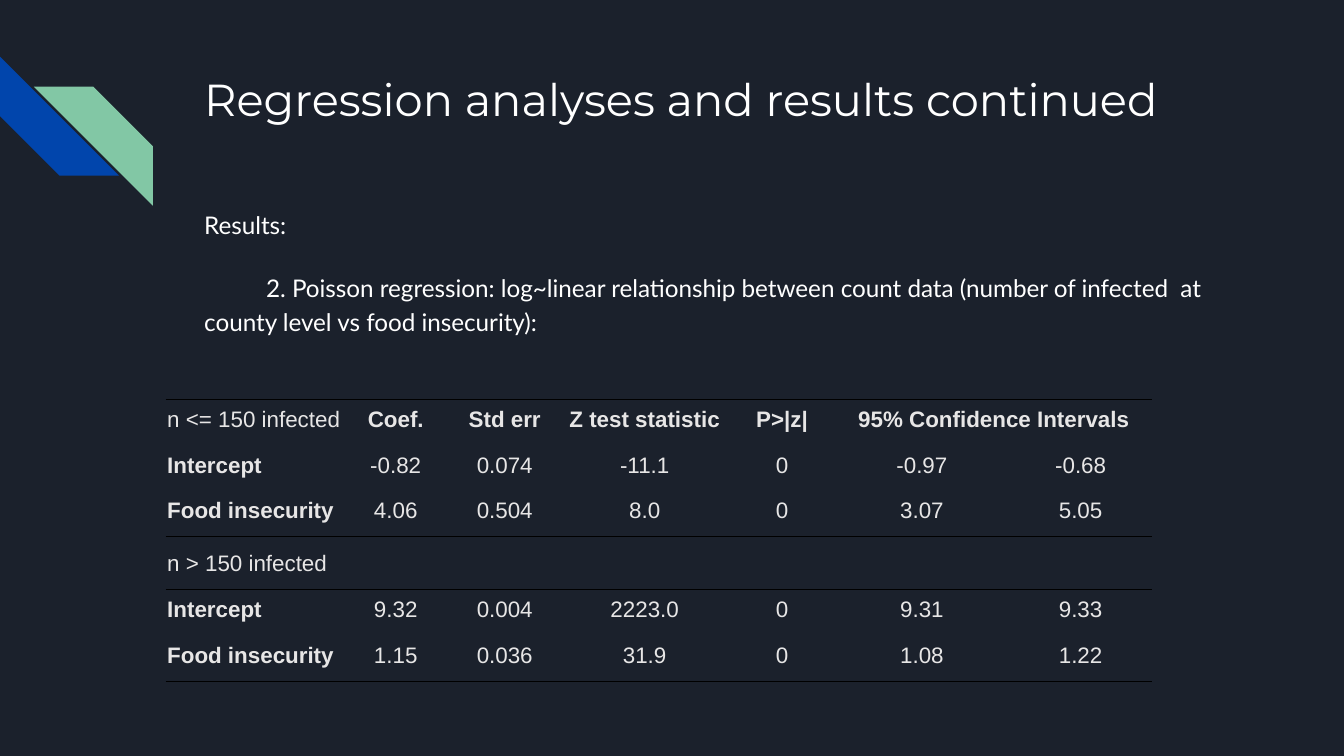
from dataclasses import dataclass

from lxml.etree import SubElement
from pptx import Presentation
from pptx.dml.color import RGBColor
from pptx.enum.shapes import MSO_SHAPE as Shape
from pptx.enum.text import MSO_ANCHOR as Anchor, PP_ALIGN as Align
from pptx.oxml import parse_xml
from pptx.oxml.ns import nsdecls, qn
from pptx.util import Cm, Pt


@dataclass(frozen=True)
class Theme:
    background: str = "1B212C"
    blue: str = "0145AC"
    green: str = "82C7A5"
    text: str = "FFFFFF"
    table_text: str = "E7E6E6"
    rule: str = "000000"
    title_font: str = "Montserrat"
    body_font: str = "Lato"
    table_font: str = "Arial"
    title_size: float = 24
    body_size: float = 13
    table_size: float = 12
    rule_width: float = 0.5
    line_spacing: float = 1.15


THEME = Theme()
NO_STYLE = "{2D5ABB26-0587-4C30-8999-92F81FD0307C}"

COLUMN_WIDTHS = [3.34, 2.01, 2.11, 3.18, 2.01, 3.28, 2.72]
ROW_HEIGHTS = [0.56, 0.56, 0.56, 1.0, 0.56, 0.56]
ROWS = [
    ["n <= 150 infected", "Coef.", "Std err", "Z test statistic", "P>|z|", "95% Confidence Intervals", ""],
    ["Intercept", "-0.82", "0.074", "-11.1", "0", "-0.97", "-0.68"],
    ["Food insecurity", "4.06", "0.504", "8.0", "0", "3.07", "5.05"],
    ["n > 150 infected", "", "", "", "", "", ""],
    ["Intercept", "9.32", "0.004", "2223.0", "0", "9.31", "9.33"],
    ["Food insecurity", "1.15", "0.036", "31.9", "0", "1.08", "1.22"],
]
GROUP_ROWS = (0, 3)
RULES = {0: "T", 2: "B", 3: "T", 5: "B"}


def write(paragraph, text, *, font, size, color, bold=False, align=Align.LEFT,
          spacing=1.0, before=0, indent=0):
    paragraph.alignment = align
    paragraph.line_spacing = spacing
    paragraph.space_before = Pt(before)
    if indent:
        properties = paragraph._p.get_or_add_pPr()
        properties.set("marL", "0")
        properties.set("indent", str(Cm(indent)))
    run = paragraph.add_run()
    run.text = text
    run.font.name = font
    run.font.size = Pt(size)
    run.font.bold = bold
    run.font.color.rgb = RGBColor.from_string(color)


def add_text_frame(slide, left, top, width, height):
    frame = slide.shapes.add_textbox(Cm(left), Cm(top), Cm(width), Cm(height)).text_frame
    frame.word_wrap = True
    frame.vertical_anchor = Anchor.TOP
    frame.margin_left = frame.margin_right = Cm(0.25)
    frame.margin_top = frame.margin_bottom = Cm(0.25)
    return frame


def add_stripe(slide, left, top, size, color):
    shape = slide.shapes.add_shape(Shape.DIAGONAL_STRIPE, Cm(left), Cm(top), Cm(size), Cm(size))
    shape.shadow.inherit = False
    shape.fill.solid()
    shape.fill.fore_color.rgb = RGBColor.from_string(color)
    shape.line.fill.background()
    return shape


def add_ornament(slide, left, top, size):
    add_stripe(slide, left, top, size, THEME.blue).rotation = 270
    green_stripe = add_stripe(slide, left + 0.64, top + 0.57, size, THEME.green)
    green_stripe._element.spPr.find(qn("a:xfrm")).set("flipH", "1")


def add_title(slide, left, top, width, height):
    frame = add_text_frame(slide, left, top, width, height)
    write(frame.paragraphs[0], "Regression analyses and results continued",
          font=THEME.title_font, size=THEME.title_size, color=THEME.text)


def add_body(slide, left, top, width, height):
    frame = add_text_frame(slide, left, top, width, height)
    style = dict(font=THEME.body_font, size=THEME.body_size, color=THEME.text,
                 spacing=THEME.line_spacing)
    write(frame.paragraphs[0], "Results:", **style)
    write(frame.add_paragraph(),
          "2. Poisson regression: log~linear relationship between count data "
          "(number of infected  at county level vs food insecurity):",
          before=16, indent=1.17, **style)


def add_rule(cell, side):
    line = parse_xml(f'<a:ln{side} {nsdecls("a")} w="{Pt(THEME.rule_width)}"/>')
    fill = SubElement(line, qn("a:solidFill"))
    SubElement(fill, qn("a:srgbClr")).set("val", THEME.rule)
    cell._tc.get_or_add_tcPr().insert(0, line)


def fill_cell(cell, text, row, column):
    cell.fill.background()
    cell.vertical_anchor = Anchor.BOTTOM
    cell.margin_left = cell.margin_top = Cm(0.03)
    cell.margin_right = Cm(0.02)
    cell.margin_bottom = Cm(0.25)
    is_label = column == 0
    paragraph = cell.text_frame.paragraphs[0]
    if text:
        write(paragraph, text, font=THEME.table_font, size=THEME.table_size,
              color=THEME.table_text, bold=is_label != (row in GROUP_ROWS),
              align=Align.LEFT if is_label else Align.CENTER,
              spacing=1.0 if is_label else THEME.line_spacing)
    else:
        paragraph.font.size = Pt(THEME.table_size)
    if row in RULES:
        add_rule(cell, RULES[row])


def add_results_table(slide, left, top):
    frame = slide.shapes.add_table(len(ROWS), len(COLUMN_WIDTHS), Cm(left), Cm(top),
                                   Cm(sum(COLUMN_WIDTHS)), Cm(sum(ROW_HEIGHTS)))
    table = frame.table
    table.first_row = table.horz_banding = False
    table._tbl.tblPr.find(qn("a:tableStyleId")).text = NO_STYLE
    for column, width in zip(table.columns, COLUMN_WIDTHS):
        column.width = Cm(width)
    for row, height in zip(table.rows, ROW_HEIGHTS):
        row.height = Cm(height)
    for row, texts in enumerate(ROWS):
        for column, text in enumerate(texts):
            fill_cell(table.cell(row, column), text, row, column)
    table.cell(0, 5).merge(table.cell(0, 6))


def main():
    presentation = Presentation()
    presentation.slide_width = Cm(25.4)
    presentation.slide_height = Cm(14.29)
    slide = presentation.slides.add_slide(presentation.slide_layouts[6])
    slide.background.fill.solid()
    slide.background.fill.fore_color.rgb = RGBColor.from_string(THEME.background)
    add_ornament(slide, 0, 1.07, 2.25)
    add_title(slide, 3.61, 1.1, 19.56, 2.54)
    add_body(slide, 3.61, 3.64, 19.56, 3.05)
    add_results_table(slide, 3.13, 7.55)
    presentation.save("out.pptx")


if __name__ == "__main__":
    main()
